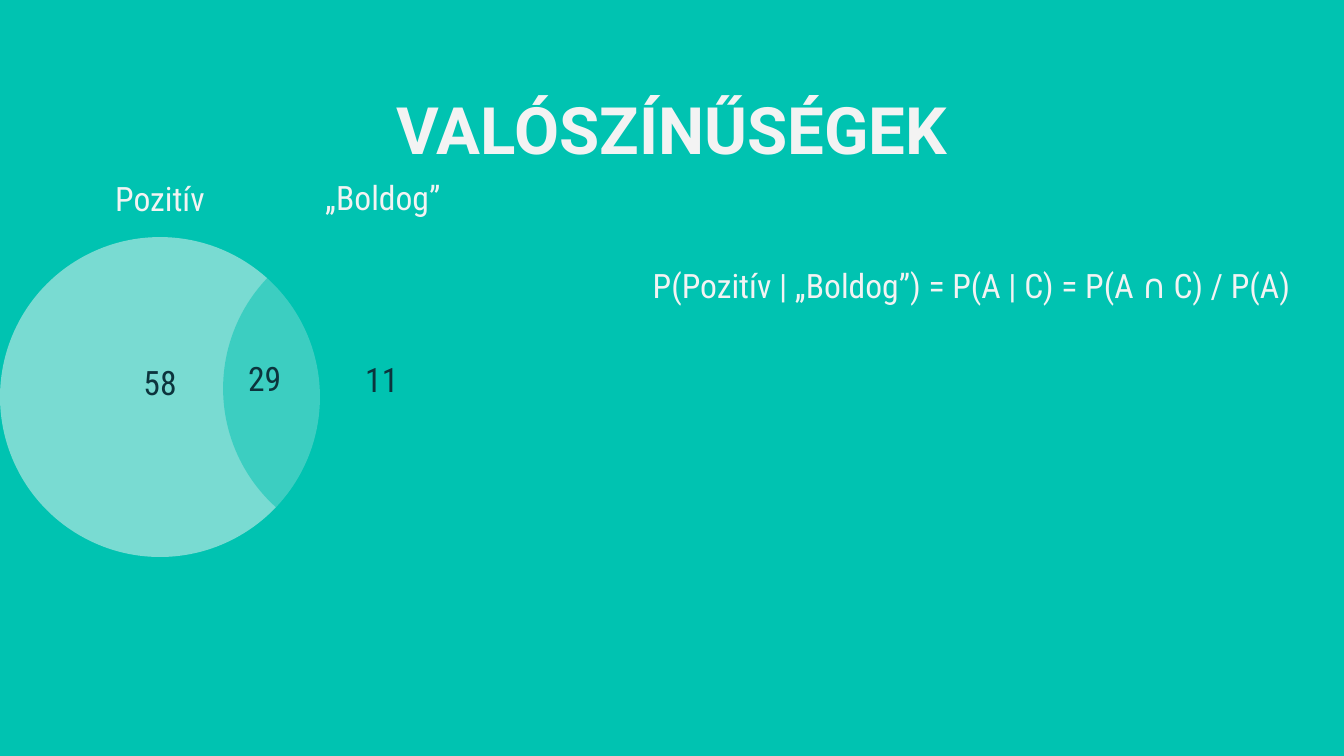
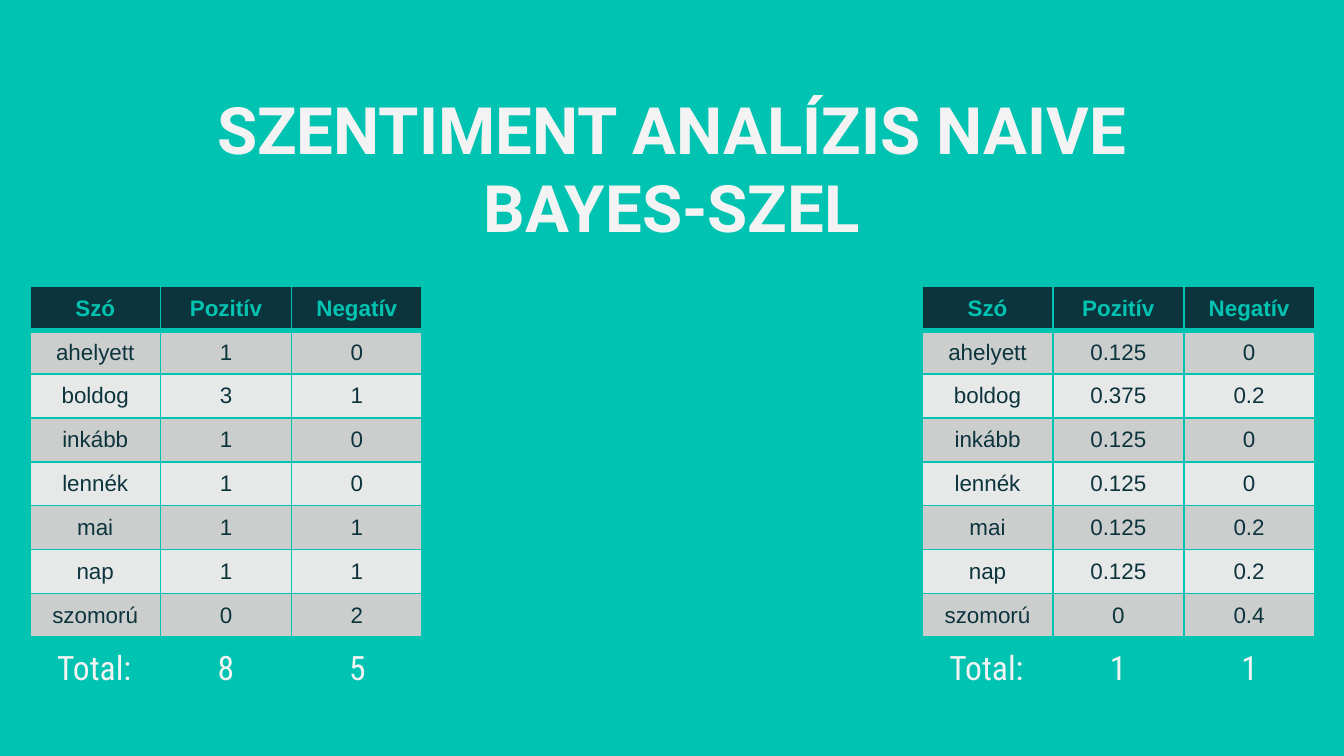
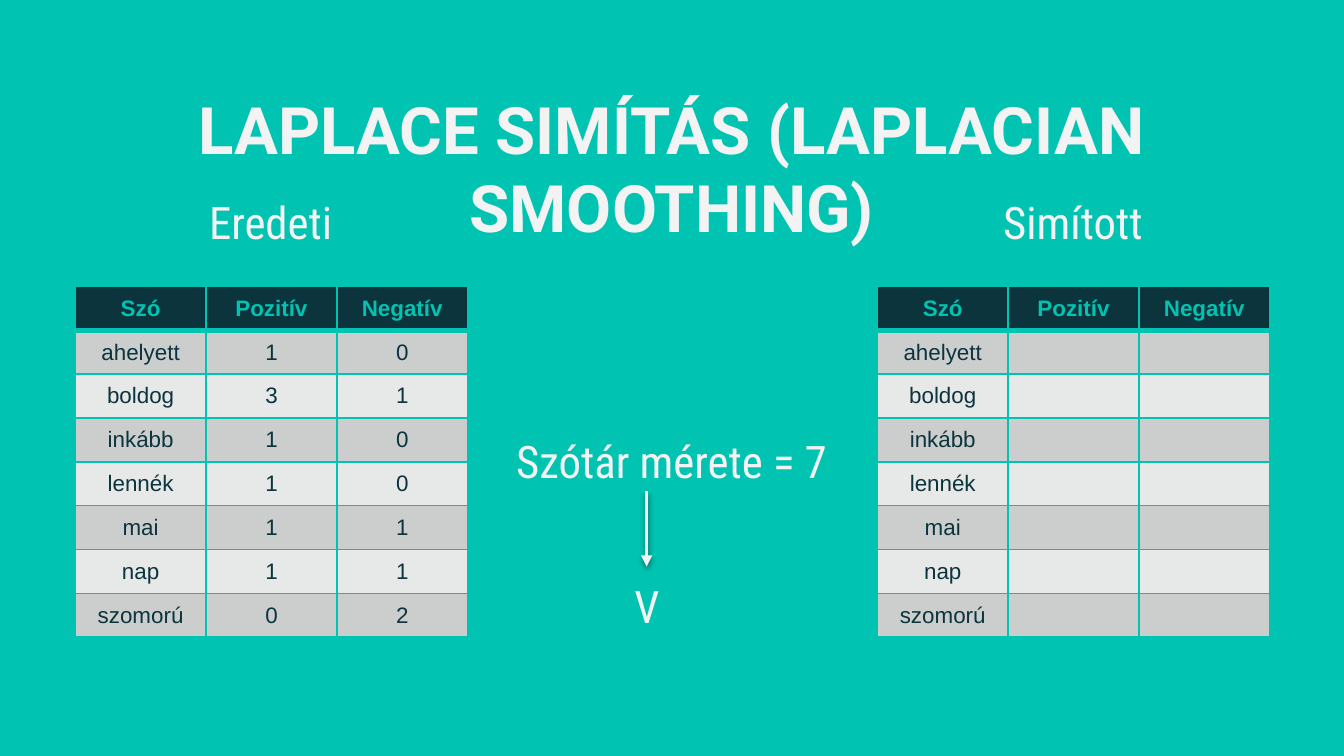
"""Build three slides on sentiment analysis with naive Bayes."""
from lxml.etree import SubElement as Sub
from pptx import Presentation
from pptx.dml.color import RGBColor as Rgb
from pptx.enum.shapes import MSO_CONNECTOR as Link, MSO_SHAPE as Kind
from pptx.enum.text import MSO_ANCHOR as Anchor, PP_ALIGN as Align
from pptx.oxml.ns import qn
from pptx.util import Pt

HUES = {"teal": "00C3B1", "light": "F3F3F3", "dark": "0C343D",
        "odd": "CCCECE", "even": "E7E8E8", "shade": "000000"}
HEAD = ["Szó", "Pozitív", "Negatív"]
WORDS = ["ahelyett", "boldog", "inkább", "lennék", "mai", "nap", "szomorú"]
COUNTS = [(1, 0), (3, 1), (1, 0), (1, 0), (1, 1), (1, 1), (0, 2)]
RATES = [(0.125, 0), (0.375, 0.2), (0.125, 0), (0.125, 0),
         (0.125, 0.2), (0.125, 0.2), (0, 0.4)]
BLANKS = [("", "")] * len(WORDS)
TOP, COL, ROW, LINE = 153.4, 70.1, 23.5, 31.5


class Deck:
    """Hold the shared style and the current slide."""

    def __init__(self):
        self.prs = Presentation()
        self.prs.slide_width, self.prs.slide_height = Pt(720), Pt(405)
        self.slide = None

    def hue(self, name):
        return Rgb.from_string(HUES[name])

    def page(self, title, left=57, width=606):
        self.slide = self.prs.slides.add_slide(self.prs.slide_layouts[6])
        back = self.slide.background.fill
        back.solid()
        back.fore_color.rgb = self.hue("teal")
        self.text(title, left, 40.5, width, 45, size=35, face="Roboto",
                  bold=True, anchor=Anchor.TOP)

    def style(self, para, size, face, hue, bold=False, align=Align.CENTER):
        para.alignment = align
        for run in para.runs:
            font = run.font
            font.size, font.name, font.bold = Pt(size), face, bold
            font.color.rgb = self.hue(hue)

    def text(self, words, left, top, width, height=LINE, size=18,
             face="Roboto Condensed", hue="light", bold=False,
             align=Align.CENTER, anchor=Anchor.MIDDLE):
        box = self.slide.shapes.add_textbox(
            Pt(left), Pt(top), Pt(width), Pt(height))
        frame = box.text_frame
        frame.word_wrap, frame.vertical_anchor = True, anchor
        frame.margin_left = frame.margin_right = Pt(7.2)
        frame.margin_top = frame.margin_bottom = Pt(7.2)
        frame.text = words
        self.style(frame.paragraphs[0], size, face, hue, bold, align)

    def disc(self, left, top, size, hue):
        disc = self.slide.shapes.add_shape(
            Kind.OVAL, Pt(left), Pt(top), Pt(size), Pt(size))
        disc.shadow.inherit = False
        disc.fill.solid()
        disc.fill.fore_color.rgb = self.hue(hue)
        disc.line.fill.background()
        tone = next(disc.element.spPr.iter(qn("a:srgbClr")))
        Sub(tone, qn("a:alpha"), val="50000")

    def edge(self, cell, side, width):
        props = cell._tc.get_or_add_tcPr()
        line = Sub(props, qn(f"a:ln{side}"), w=str(Pt(width)))
        fill = Sub(line, qn("a:solidFill"))
        Sub(fill, qn("a:srgbClr"), val=HUES["teal"])

    def cell(self, cell, value, row):
        head = row == 0
        for side in "LRTB":
            if side != "T" or row != 1:
                self.edge(cell, side, 3 if head and side == "B" else 1)
        cell.fill.solid()
        fill = "dark" if head else "odd" if row % 2 else "even"
        cell.fill.fore_color.rgb = self.hue(fill)
        cell.vertical_anchor = Anchor.MIDDLE
        cell.margin_left = cell.margin_right = Pt(5.4)
        cell.margin_top = cell.margin_bottom = Pt(2.7)
        cell.text_frame.text = str(value)
        para = cell.text_frame.paragraphs[0]
        self.style(para, 12, "Arial", "teal" if head else "dark", head)
        if not para.runs:
            Sub(para._p, qn("a:endParaRPr"), sz="1200")

    def table(self, left, pairs):
        rows = [HEAD] + [[word, *pair] for word, pair in zip(WORDS, pairs)]
        grid = self.slide.shapes.add_table(
            len(rows), len(HEAD), Pt(left), Pt(TOP),
            Pt(COL * len(HEAD)), Pt(ROW * len(rows))).table
        for col in grid.columns:
            col.width = Pt(COL)
        for row, items in enumerate(rows):
            grid.rows[row].height = Pt(ROW)
            for col, value in enumerate(items):
                self.cell(grid.cell(row, col), value, row)

    def totals(self, left, pairs):
        sums = [round(sum(nums), 3) for nums in zip(*pairs)]
        for col, value in enumerate(["Total:", *sums]):
            words = value if col == 0 else f"{value:g}"
            self.text(words, left + col * 70.5, 341.5, 101)

    def arrow(self, left, top, end):
        arrow = self.slide.shapes.add_connector(
            Link.STRAIGHT, Pt(left), Pt(top), Pt(left), Pt(end))
        arrow.line.color.rgb = self.hue("light")
        arrow.line.width = Pt(2)
        props = arrow._element.spPr
        Sub(props.find(qn("a:ln")), qn("a:tailEnd"), type="triangle")
        glow = Sub(Sub(props, qn("a:effectLst")), qn("a:outerShdw"),
                   blurRad=str(Pt(3.1)), dist=str(Pt(1.6)),
                   dir="5400000", rotWithShape="0")
        tone = Sub(glow, qn("a:srgbClr"), val=HUES["shade"])
        Sub(tone, qn("a:alpha"), val="38000")


def main():
    deck = Deck()

    deck.page("VALÓSZÍNŰSÉGEK")
    deck.disc(0, 127, 171.4, "light")
    deck.text("Pozitív", 52, 90.3, 67.5)
    deck.text("58", 52, 188.8, 67.5, hue="dark")
    deck.text("P(Pozitív | „Boldog”) = P(A | C) = P(A ∩ C) / P(A)",
              342.6, 134.6, 377.4, 222.5, align=Align.LEFT,
              anchor=Anchor.TOP)
    deck.disc(119.5, 122.4, 171.4, "teal")
    deck.text("29", 108, 186.8, 67.5, hue="dark")
    deck.text("11", 170.8, 187.2, 67.5, hue="dark")
    deck.text("„Boldog”", 154.6, 89.6, 101)

    deck.page("SZENTIMENT ANALÍZIS NAIVE BAYES-SZEL")
    for left, pairs in ((16, COUNTS), (494, RATES)):
        deck.table(left, pairs)
        deck.totals(left - 16, pairs)

    deck.page("LAPLACE SIMÍTÁS (LAPLACIAN SMOOTHING)", 0, 720)
    deck.table(470, BLANKS)
    for words, left, top, width in (
            ("Eredeti", 64.8, 103, 160.5), ("Simított", 494.6, 103, 160.5),
            ("Szótár mérete = 7", 250, 231.2, 219.6),
            ("V", 236.8, 308.8, 219.6)):
        deck.text(words, left, top, width, size=24)
    deck.arrow(346.4, 263, 303.6)
    deck.table(40.3, COUNTS)

    deck.prs.save("out.pptx")


if __name__ == "__main__":
    main()
